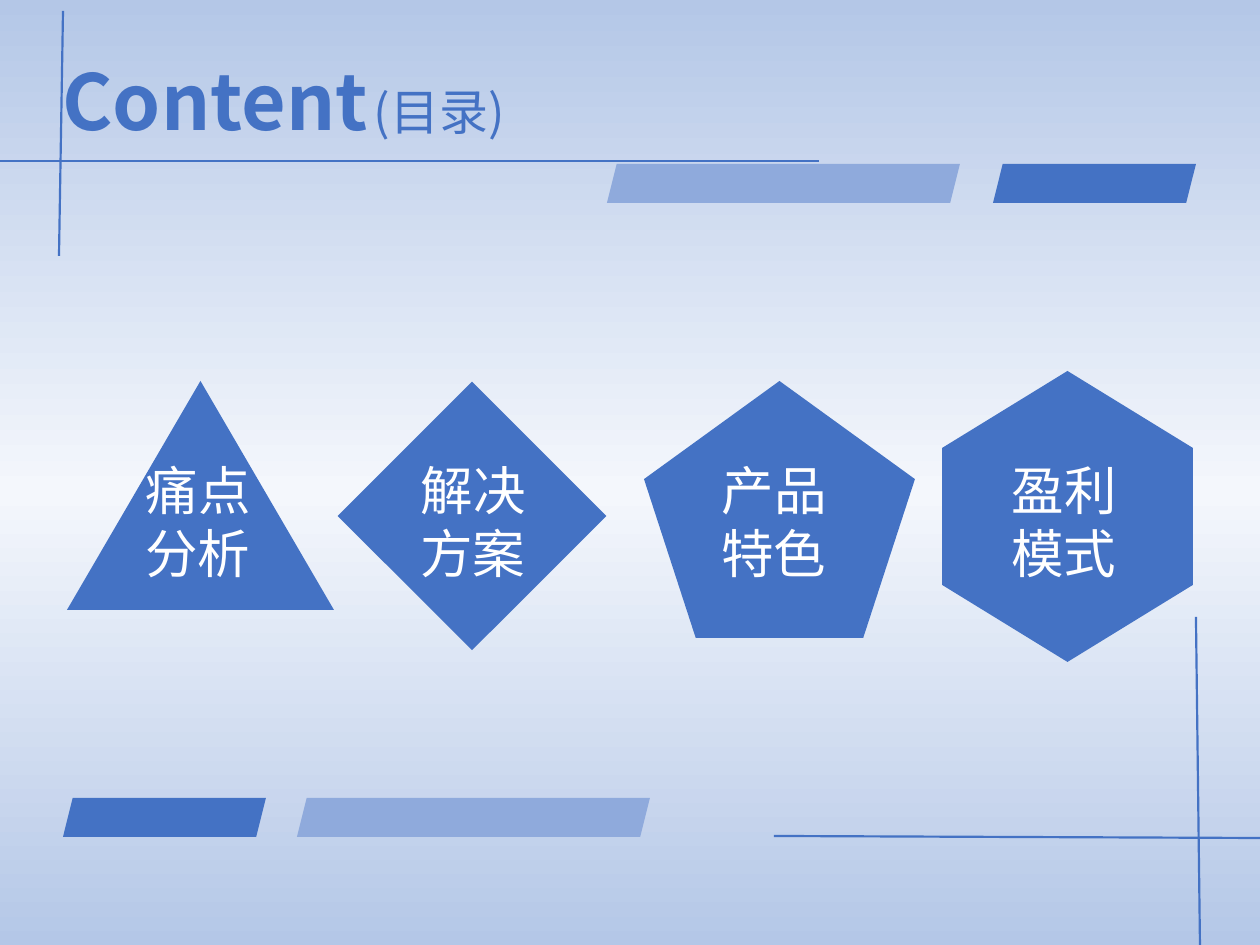
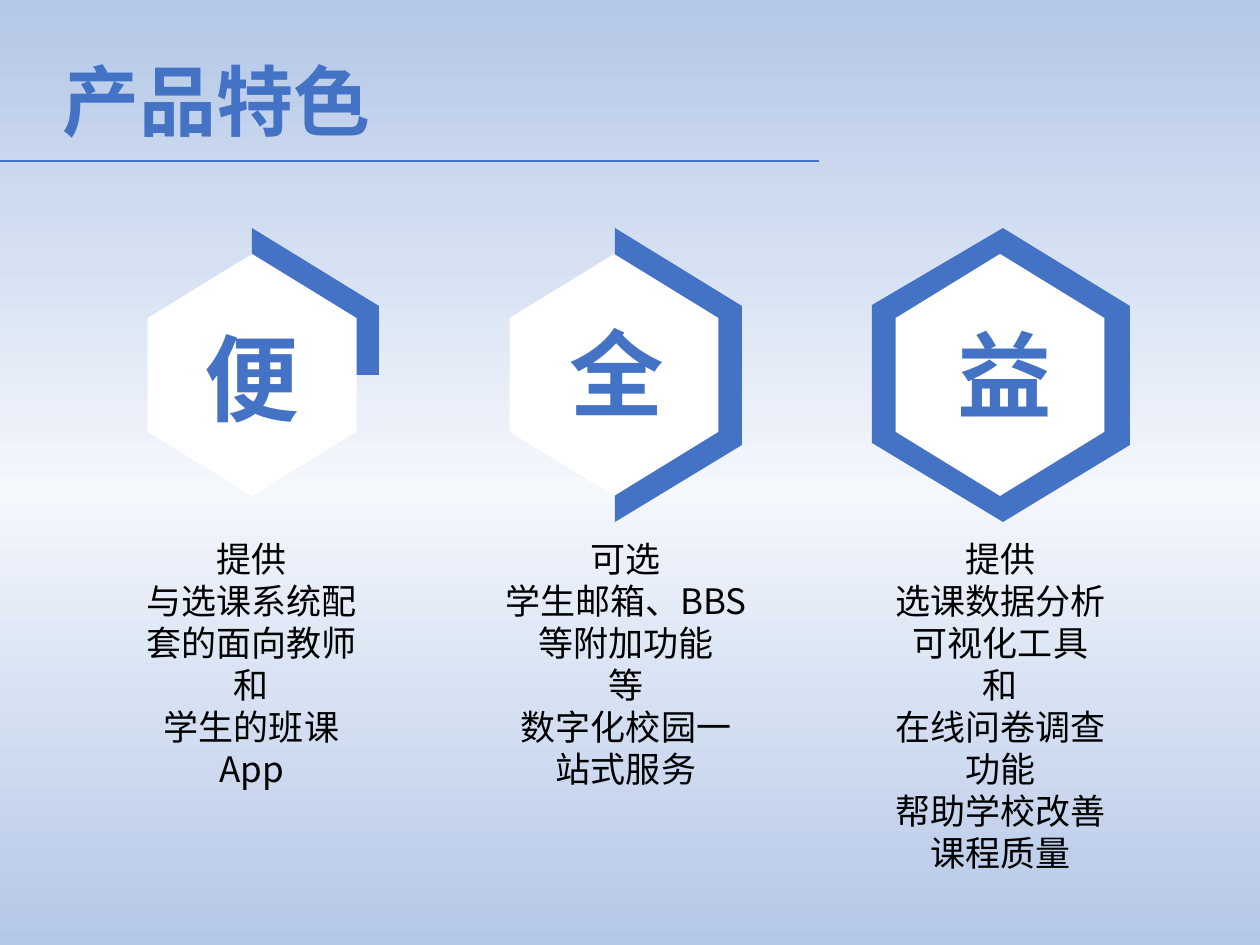
"""Build a contents slide and a product features slide in one blue style."""
from copy import deepcopy
from dataclasses import dataclass

from lxml import etree
from pptx import Presentation
from pptx.dml.color import RGBColor
from pptx.enum import shapes, text
from pptx.oxml.ns import qn
from pptx.util import Pt

SCALE = 914400 / 126
PAGE_SIZE = (1260, 945)


@dataclass(frozen=True)
class Theme:
    blue: str = "4472C4"
    soft_blue: str = "8FAADC"
    white: str = "FFFFFF"
    black: str = "000000"
    background: tuple = ((0, "B4C7E7"), (0.52, "F4F7FC"), (1, "B4C7E7"))
    font: str = "Noto Sans CJK SC"
    title: int = 44
    gap: int = 14
    subtitle: int = 28
    label: int = 30
    mark: int = 54
    detail: int = 20
    line: float = 1.25
    leading: float = 1.2
    drop: float = 0.1


THEME = Theme()
KIND = shapes.MSO_SHAPE

TITLE_BOX = (50, 40, 1012, 90)
TITLE_RULE = (0, 161, 819, 161)
CONTENT_TITLE = [("Content", THEME.title, True), (" ", THEME.gap, True),
                 ("(目录)", THEME.subtitle, False)]
FEATURE_TITLE = [("产品特色", THEME.title, True)]

TOPICS = [
    ("痛点分析", 113, KIND.ISOSCELES_TRIANGLE, (67, 381, 267, 229), 0),
    ("解决方案", 388, KIND.RECTANGLE, (377, 421, 190, 190), 45),
    ("产品特色", 689, KIND.REGULAR_PENTAGON, (644, 381, 271, 257), 0),
    ("盈利模式", 979, KIND.HEXAGON, (922, 391, 291, 251), 90),
]
LABEL_TOP, LABEL_SIZE = 446, (170, 140)
CORNER_LINES = [(1260, 838, 774, 836), (1196, 617, 1200, 945), (59, 256, 63, 11)]
BAND_HEIGHT = 39
BANDS = [
    (63, 798, 203, THEME.blue), (993, 164, 203, THEME.blue),
    (297, 798, 353, THEME.soft_blue), (607, 164, 353, THEME.soft_blue),
]

RING_MIDDLE = 375
QUARTER = [(0, -147), (127, -69), (127, 0), (0, 0)]
RIGHT_HALF = [(0, -147), (127, -69), (127, 70), (0, 147)]
LEFT_TOP = [(0, -147), (-131, -70), (-131, -2), (0, -2)]
LEFT_BOTTOM = [(0, 147), (-131, 68), (-131, -2), (0, -2)]
HEXAGON_SIZE = (242, 209)
MARK_SIZE = (132, 127)
DETAIL_TOP = 528
FEATURES = [
    dict(mark="便", mark_at=(186, 304), middle=252, apex=252, ring=[QUARTER],
         detail_at=123, detail_size=(257, 267),
         detail=["提供", "与选课系统配套的面向教师和", "学生的班课App"]),
    dict(mark="全", mark_at=(551, 299), middle=614, apex=615, ring=[RIGHT_HALF],
         detail_at=491, detail_size=(270, 267),
         detail=["可选", "学生邮箱、BBS等附加功能", "等", "数字化校园一站式服务"]),
    dict(mark="益", mark_at=(939, 301), middle=1000, apex=1003,
         ring=[LEFT_TOP, RIGHT_HALF, LEFT_BOTTOM],
         detail_at=872, detail_size=(257, 352),
         detail=["提供", "选课数据分析可视化工具", "和", "在线问卷调查功能",
                 "帮助学校改善课程质量"]),
]


def emu(*lengths):
    return [round(length * SCALE) for length in lengths]


def color(code):
    return RGBColor.from_string(code)


def paint(shape, code):
    shape.shadow.inherit = False
    shape.fill.solid()
    shape.fill.fore_color.rgb = color(code)
    shape.line.fill.background()


def add_figure(page, kind, place, code=THEME.blue, turn=0):
    figure = page.shapes.add_shape(kind, *emu(*place))
    paint(figure, code)
    figure.rotation = turn
    if kind == KIND.HEXAGON:
        figure.adjustments[0] = 0.307
    return figure


def add_outline(page, points):
    builder = page.shapes.build_freeform(*points[0], scale=SCALE)
    builder.add_line_segments(points[1:], close=True)
    paint(builder.convert_to_shape(), THEME.blue)


def add_line(page, ends):
    line = page.shapes.add_connector(shapes.MSO_CONNECTOR.STRAIGHT, *emu(*ends))
    line.line.color.rgb = color(THEME.blue)
    line.line.width = Pt(THEME.line)
    etree.SubElement(line._element.spPr, qn("a:effectLst"))


def add_text(page, place, paragraphs, code, align=text.PP_ALIGN.CENTER):
    box = page.shapes.add_textbox(*emu(*place))
    frame = box.text_frame
    frame.word_wrap = True
    largest = paragraphs[0][0][1]
    frame.margin_top += Pt(largest * THEME.drop)
    for index, spans in enumerate(paragraphs):
        para = frame.paragraphs[0] if index == 0 else frame.add_paragraph()
        para.alignment = align
        para.line_spacing = Pt(largest * THEME.leading)
        for words, size, bold in spans:
            span = para.add_run()
            span.text = words
            span.font.name = THEME.font
            span.font.size = Pt(size)
            span.font.bold = bold
            span.font.color.rgb = color(code)
            east_asian = etree.SubElement(span._r.get_or_add_rPr(), qn("a:ea"))
            east_asian.set("typeface", THEME.font)


def add_page(deck, title):
    page = deck.slides.add_slide(deck.slide_layouts[6])
    fill = page.background.fill
    fill.gradient()
    fill.gradient_angle = 270
    stops = page._element.find(".//" + qn("a:gsLst"))
    stops.append(deepcopy(stops[0]))
    for stop, (position, code) in zip(fill.gradient_stops, THEME.background):
        stop.position = position
        stop.color.rgb = color(code)
    add_line(page, TITLE_RULE)
    add_text(page, TITLE_BOX, [title], THEME.blue, text.PP_ALIGN.LEFT)
    return page


def build_contents(deck):
    page = add_page(deck, CONTENT_TITLE)
    for label, left, kind, place, turn in TOPICS:
        add_figure(page, kind, place, turn=turn)
        add_text(page, (left, LABEL_TOP, *LABEL_SIZE),
                 [[(label, THEME.label, False)]], THEME.white)
    for ends in CORNER_LINES:
        add_line(page, ends)
    for left, top, width, code in BANDS:
        add_figure(page, KIND.PARALLELOGRAM, (left, top, width, BAND_HEIGHT), code)


def build_features(deck):
    page = add_page(deck, FEATURE_TITLE)
    width, height = HEXAGON_SIZE
    for feature in FEATURES:
        for piece in feature["ring"]:
            add_outline(page, [(feature["apex"] + x, RING_MIDDLE + y) for x, y in piece])
        place = (feature["middle"] - width / 2, RING_MIDDLE - height / 2, width, height)
        add_figure(page, KIND.HEXAGON, place, THEME.white, 90)
        add_text(page, (*feature["mark_at"], *MARK_SIZE),
                 [[(feature["mark"], THEME.mark, True)]], THEME.blue)
        add_text(page, (feature["detail_at"], DETAIL_TOP, *feature["detail_size"]),
                 [[(words, THEME.detail, False)] for words in feature["detail"]],
                 THEME.black)


def main():
    deck = Presentation()
    deck.slide_width, deck.slide_height = emu(*PAGE_SIZE)
    build_contents(deck)
    build_features(deck)
    deck.save("out.pptx")


if __name__ == "__main__":
    main()
